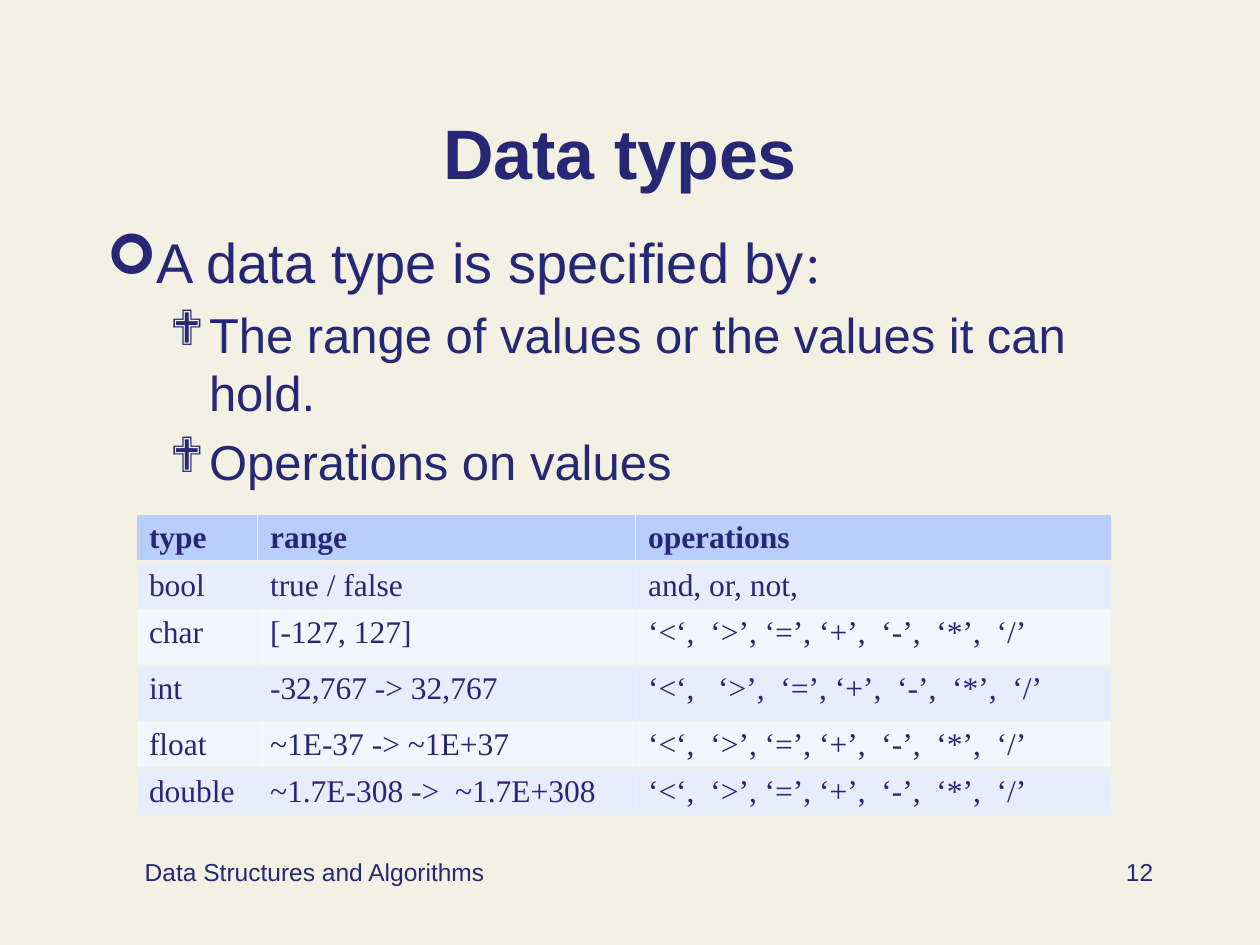
from dataclasses import dataclass

from lxml.etree import SubElement
from pptx import Presentation
from pptx.dml.color import RGBColor
from pptx.enum.text import MSO_ANCHOR, MSO_AUTO_SIZE, PP_ALIGN
from pptx.oxml.ns import qn
from pptx.util import Cm, Pt


@dataclass(frozen=True)
class Theme:
    paper: str = "F3F1E4"
    ink: str = "272776"
    header: str = "B8CFFB"
    bands: tuple = ("E6EDFD", "F3F6FE")
    sans: str = "Arial"
    serif: str = "Times New Roman"
    title: int = 40
    lead: int = 32
    point: int = 28
    cell: int = 18
    footer: int = 14


theme = Theme()


def add_span(para, text, size, face=theme.sans, bold=False):
    span = para.add_run()
    span.text = text
    span.font.name = face
    span.font.size = Pt(size)
    span.font.bold = bold
    span.font.color.rgb = RGBColor.from_string(theme.ink)


def place(box, left, top, width, height):
    box.left, box.top, box.width, box.height = Cm(left), Cm(top), Cm(width), Cm(height)
    box.text_frame.word_wrap = True
    box.text_frame.auto_size = MSO_AUTO_SIZE.NONE


# Page
deck = Presentation()
deck.slide_width, deck.slide_height = Cm(25.4), Cm(19.05)
page = deck.slides.add_slide(deck.slide_layouts[1])
page.background.fill.solid()
page.background.fill.fore_color.rgb = RGBColor.from_string(theme.paper)

# Title
title = page.shapes.title
place(title, 1.07, 0.84, 22.86, 3.18)
title.text_frame.vertical_anchor = MSO_ANCHOR.BOTTOM
para = title.text_frame.paragraphs[0]
para.alignment = PP_ALIGN.CENTER
add_span(para, "Data types", theme.title, bold=True)

# Bulleted list: level, bullet, margin, hanging indent, space before, spans
body = page.placeholders[1]
place(body, 1.9, 4.45, 21.6, 13.13)
lead = [("A data type is specified by", theme.lead, theme.sans), (":", theme.lead, theme.serif)]
points = ["The range of values or the values it can hold.", "Operations on values"]
items = [(0, "➢", 0.95, 0.95, 0, lead)]
items += [(1, "❖", 2.06, 0.79, 5.6, [(text, theme.point, theme.sans)]) for text in points]
for index, (level, bullet, margin, hanging, before, spans) in enumerate(items):
    para = body.text_frame.add_paragraph() if index else body.text_frame.paragraphs[0]
    para.level = level
    para.space_before = Pt(before)
    properties = para._p.get_or_add_pPr()
    properties.set("marL", str(Cm(margin)))
    properties.set("indent", str(-Cm(hanging)))
    bullet_color = SubElement(properties, qn("a:buClr"))
    SubElement(bullet_color, qn("a:srgbClr"), val=theme.ink)
    SubElement(properties, qn("a:buFont"), typeface="Wingdings")
    SubElement(properties, qn("a:buChar"), char=bullet)
    for text, size, face in spans:
        add_span(para, text, size, face)

# Table of types
operators = "‘<‘,  ‘>’, ‘=’, ‘+’,  ‘-’,  ‘*’,  ‘/’"
rows = [
    ("type", "range", "operations"),
    ("bool", "true / false", "and, or, not,"),
    ("char", "[-127, 127]", operators),
    ("int", "-32,767 -> 32,767", "‘<‘,   ‘>’,  ‘=’, ‘+’,  ‘-’,  ‘*’,  ‘/’"),
    ("float", "~1E-37 -> ~1E+37", operators),
    ("double", "~1.7E-308 ->  ~1.7E+308", operators),
]
widths = [2.44, 7.62, 9.6]
heights = [0.95, 0.95, 1.12, 1.12, 0.95, 0.95]
frame = page.shapes.add_table(
    len(rows), len(widths), Cm(2.75), Cm(10.37), Cm(sum(widths)), Cm(sum(heights)))
table = frame.table
for column, width in zip(table.columns, widths):
    column.width = Cm(width)
for row, height in zip(table.rows, heights):
    row.height = Cm(height)
for row_index, row in enumerate(rows):
    is_header = row_index == 0
    fill = theme.header if is_header else theme.bands[(row_index - 1) % 2]
    for column_index, text in enumerate(row):
        cell = table.cell(row_index, column_index)
        add_span(cell.text_frame.paragraphs[0], text, theme.cell, theme.serif, is_header)
        # Borders come before the fill in the cell properties
        properties = cell._tc.get_or_add_tcPr()
        for side in ("lnL", "lnR", "lnT", "lnB"):
            heavy = (is_header and side == "lnB") or (row_index == 1 and side == "lnT")
            line = SubElement(properties, qn(f"a:{side}"), w=str(Pt(3 if heavy else 1)))
            line_fill = SubElement(line, qn("a:solidFill"))
            SubElement(line_fill, qn("a:srgbClr"), val=theme.paper)
        cell.fill.solid()
        cell.fill.fore_color.rgb = RGBColor.from_string(fill)

# Footer and page number
footers = [
    ("Data Structures and Algorithms", 1.9, 8.89, PP_ALIGN.CENTER),
    ("12", 18.21, 5.29, PP_ALIGN.RIGHT),
]
for text, left, width, alignment in footers:
    box = page.shapes.add_textbox(0, 0, 0, 0)
    place(box, left, 17.15, width, 1.27)
    para = box.text_frame.paragraphs[0]
    para.alignment = alignment
    add_span(para, text, theme.footer)

deck.save("out.pptx")
